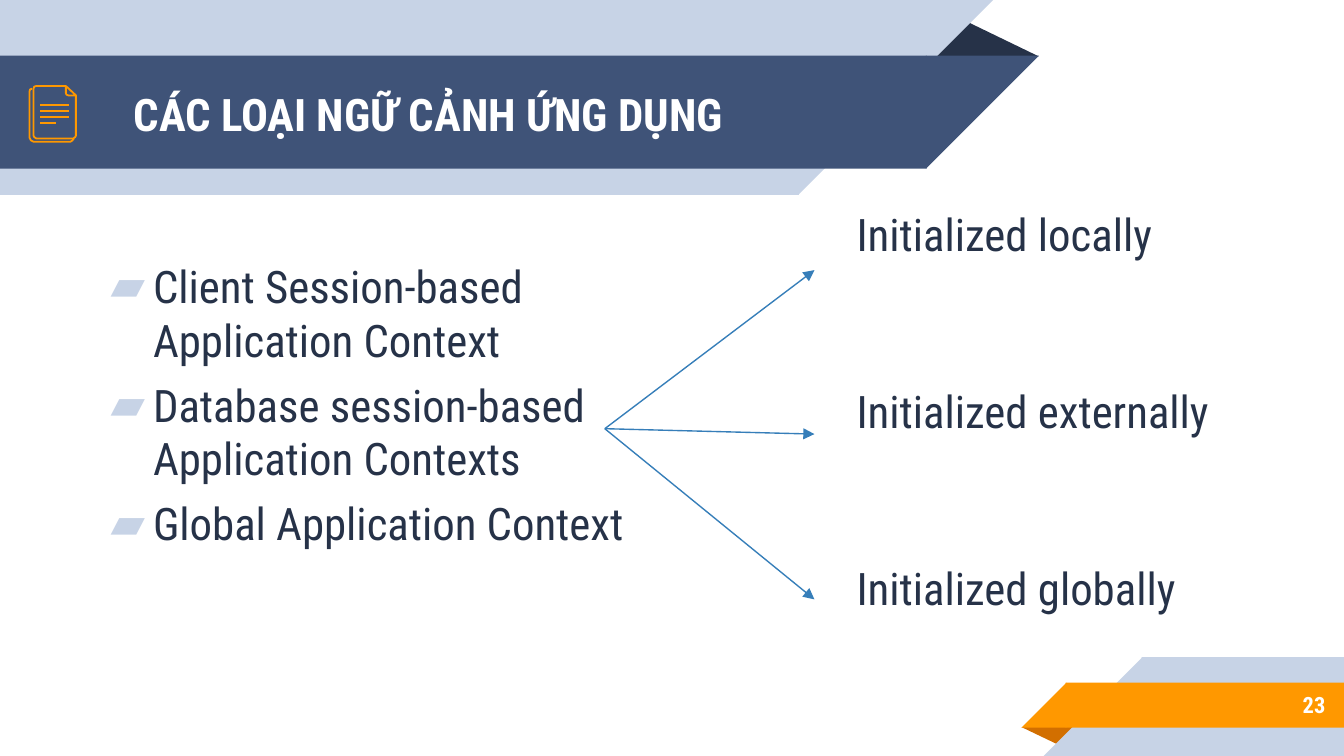
from lxml import etree
from pptx import Presentation
from pptx.dml.color import RGBColor
from pptx.enum.shapes import MSO_CONNECTOR, MSO_SHAPE
from pptx.enum.text import MSO_ANCHOR, PP_ALIGN
from pptx.oxml.ns import qn
from pptx.util import Emu, Pt

SCALE = 4572  # EMU per px, 200 px to the inch
SLIDE_WIDTH, SLIDE_HEIGHT = 2000, 1125
FONT = "Roboto Condensed"
COLORS = {
    "navy": "263248", "blue": "3F5378", "pale": "C7D3E6", "orange": "FF9800",
    "rust": "D26F00", "arrow": "367EB9", "white": "FFFFFF",
}
RECTANGLE = MSO_SHAPE.RECTANGLE
RIGHT_TRIANGLE = MSO_SHAPE.RIGHT_TRIANGLE
TRIANGLE = MSO_SHAPE.ISOSCELES_TRIANGLE
STRAIGHT = MSO_CONNECTOR.STRAIGHT
TOP, MIDDLE = MSO_ANCHOR.TOP, MSO_ANCHOR.MIDDLE
LEFT, RIGHT = PP_ALIGN.LEFT, PP_ALIGN.RIGHT
SEAM = 1  # overlap that closes the joint between the two parts of a band


def px(length):
    return Emu(length * SCALE)


def color(name):
    return RGBColor.from_string(COLORS[name])


def add_block(slide, kind, box, fill, rotation=0):
    shape = slide.shapes.add_shape(kind, *map(px, box))
    shape.shadow.inherit = False
    shape.fill.solid()
    shape.fill.fore_color.rgb = color(fill)
    shape.line.fill.background()
    shape.rotation = rotation
    return shape


def add_fold(slide, box, fill, rotation=0):
    add_block(slide, TRIANGLE, box, fill, rotation).adjustments[0] = 0.32


def add_top_band(slide, box, fill):
    """Band whose right end slants inward; the slant takes the last height of the box."""
    left, top, width, height = box
    straight = width - height
    add_block(slide, RECTANGLE, (left, top, straight + SEAM, height), fill)
    add_block(slide, RIGHT_TRIANGLE, (left + straight, top, height, height), fill, 90)


def add_bottom_band(slide, box, fill):
    """Band whose left end slants inward; the slant takes the first height of the box."""
    left, top, width, height = box
    straight = (left + height - SEAM, top, width - height + SEAM, height)
    add_block(slide, RECTANGLE, straight, fill)
    add_block(slide, RIGHT_TRIANGLE, (left, top, height, height), fill, 270)


def add_line(slide, start, end, line_color, width):
    connector = slide.shapes.add_connector(STRAIGHT, *map(px, (*start, *end)))
    connector.line.color.rgb = color(line_color)
    connector.line.width = Pt(width)
    etree.SubElement(connector._element.spPr, qn("a:effectLst"))
    return connector


def add_arrow(slide, start, end):
    connector = add_line(slide, start, end, "arrow", 0.75)
    etree.SubElement(connector.line._get_or_add_ln(), qn("a:tailEnd"), type="triangle")


def add_text(slide, box, lines, size, font_color, bold=False, anchor=TOP, align=LEFT):
    text_box = slide.shapes.add_textbox(*map(px, box))
    text_frame = text_box.text_frame
    text_frame.word_wrap = True
    text_frame.vertical_anchor = anchor
    text_frame.margin_left = text_frame.margin_right = px(20)
    text_frame.margin_top = text_frame.margin_bottom = px(20)
    text_frame.text = "\n".join(lines)
    for paragraph in text_frame.paragraphs:
        paragraph.alignment = align
        for run in paragraph.runs:
            run.font.name = FONT
            run.font.size = Pt(size)
            run.font.bold = bold
            run.font.color.rgb = color(font_color)
    return text_frame


def add_bullet(paragraph):
    properties = paragraph._p.get_or_add_pPr()
    properties.set("marL", str(px(63)))
    properties.set("indent", str(px(-63)))
    bullet_color = etree.SubElement(properties, qn("a:buClr"))
    etree.SubElement(bullet_color, qn("a:srgbClr"), val=COLORS["pale"])
    etree.SubElement(properties, qn("a:buFont"), typeface=FONT)
    etree.SubElement(properties, qn("a:buChar"), char="▰")


def add_outline(slide, origin, points, close=False):
    builder = slide.shapes.build_freeform(*points[0], scale=SCALE)
    builder.add_line_segments(points[1:], close=close)
    shape = builder.convert_to_shape(*map(px, origin))
    shape.shadow.inherit = False
    shape.fill.background()
    shape.line.color.rgb = color("orange")
    shape.line.width = Pt(0.96)


def add_document_icon(slide, left, top):
    origin = (left, top)
    back_sheet = [(66, 78), (64, 81), (61, 83), (6, 83), (2, 81), (0, 77),
                  (0, 8), (1, 5), (4, 4)]
    front_sheet = [(69, 14), (69, 74), (68, 76), (65, 78), (10, 78), (7, 76), (6, 74),
                   (6, 4), (7, 1), (10, 0), (54, 0)]
    corner = [(54, 0), (69, 14), (58, 14), (55, 13), (54, 11)]
    add_outline(slide, origin, back_sheet)
    add_outline(slide, origin, front_sheet)
    add_outline(slide, origin, corner, close=True)
    for y, length in ((28, 43), (37, 43), (46, 43), (55, 23)):
        add_line(slide, (left + 16, top + y), (left + 16 + length, top + y), "orange", 0.96)


def add_header(slide, left, top, title):
    add_fold(slide, (left + 1376, top + 28, 170, 56), "navy")
    add_top_band(slide, (left, top, 1478, 290), "pale")
    add_top_band(slide, (left, top + 83, 1546, 168), "blue")
    add_text(slide, (left + 179, top + 85, 1150, 168), [title], 24, "white", True, MIDDLE)
    add_document_icon(slide, left + 44, top + 128)


def add_footer(slide, left, top, number):
    add_fold(slide, (left, top + 104, 86, 28), "rust", 180)
    add_bottom_band(slide, (left + 33, top, 447, 147), "pale")
    add_bottom_band(slide, (left, top + 38, 480, 67), "orange")
    add_text(slide, (left + 146, top + 36, 326, 70), [number], 12, "white", True,
             MIDDLE, RIGHT)


def add_context_types(slide, box, names):
    text_frame = add_text(slide, box, names, 24, "navy")
    for paragraph in text_frame.paragraphs:
        paragraph.space_before = Pt(6)
        add_bullet(paragraph)


def add_initializations(slide, box, names):
    text_frame = add_text(slide, box, names, 24, "navy")
    for index, paragraph in enumerate(text_frame.paragraphs):
        paragraph.space_before = Pt(66 if index else 6)


def add_arrows(slide, left, top):
    """Fan of arrows from one point, with top at the tip of the highest."""
    for tip in (0, 244, 490):
        add_arrow(slide, (left, top + 236), (left + 312, top + tip))


def main():
    presentation = Presentation()
    presentation.slide_width = px(SLIDE_WIDTH)
    presentation.slide_height = px(SLIDE_HEIGHT)
    slide = presentation.slides.add_slide(presentation.slide_layouts[6])
    add_header(slide, 0, 0, "CÁC LOẠI NGỮ CẢNH ỨNG DỤNG")
    add_footer(slide, 1520, 978, "23")
    add_context_types(slide, (145, 365, 856, 652), [
        "Client Session-based Application Context",
        "Database session-based Application Contexts",
        "Global Application Context",
    ])
    add_arrows(slide, 900, 402)
    add_initializations(slide, (1255, 288, 774, 652), [
        "Initialized locally", "Initialized externally", "Initialized globally",
    ])
    presentation.save("out.pptx")


if __name__ == "__main__":
    main()
